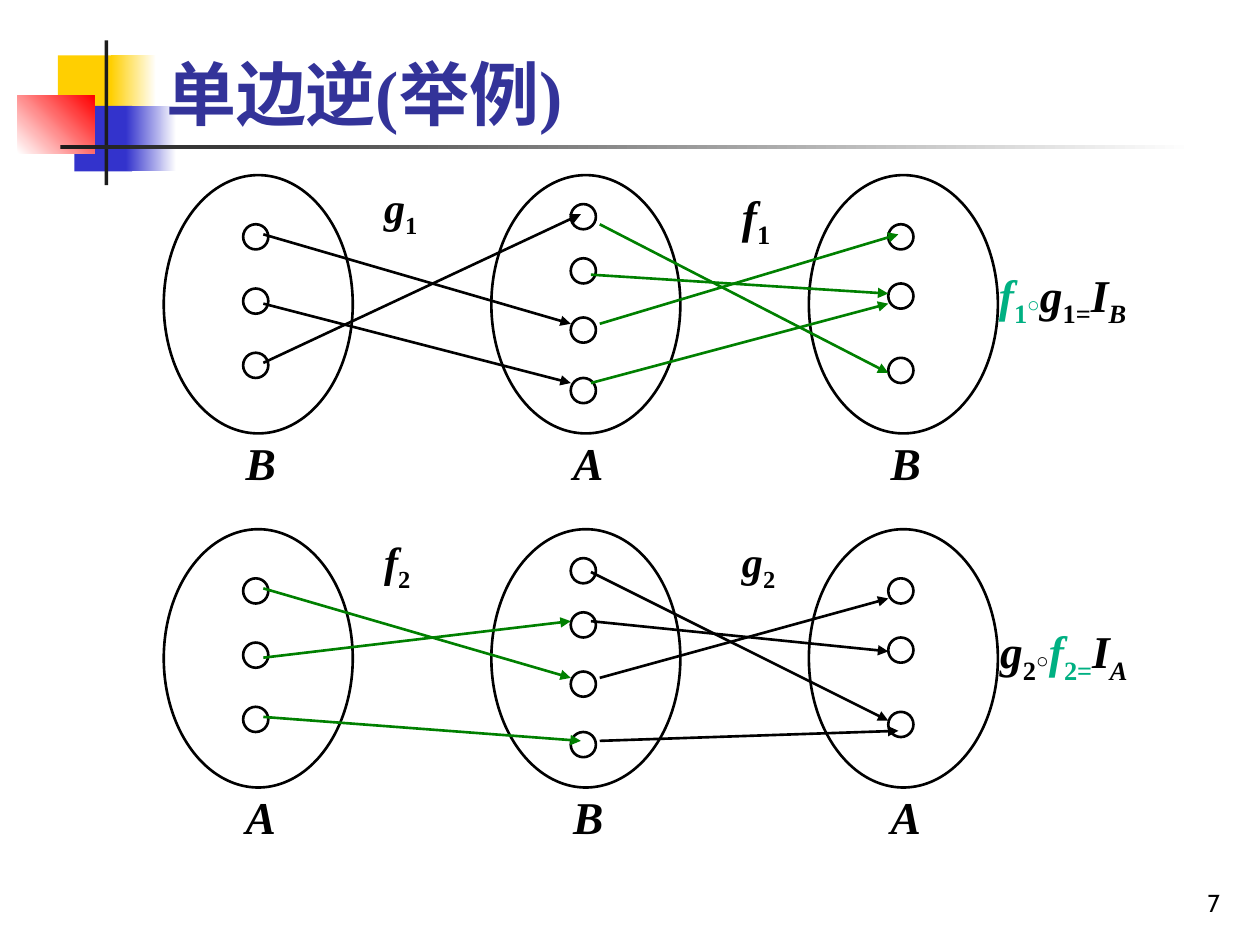
from dataclasses import dataclass

from lxml import etree
from pptx import Presentation
from pptx import util as u
from pptx.dml.color import RGBColor
from pptx.enum import shapes, text
from pptx.oxml.ns import qn

PX = u.Inches(1) // 100  # one px is a hundredth of an inch


@dataclass(frozen=True)
class Theme:
    black: str = "000000"
    white: str = "FFFFFF"
    green: str = "008000"
    teal: str = "00B082"
    title: str = "333399"
    yellow: str = "FFCF01"
    blue: str = "3333CC"
    red: str = "FF0000"
    bar: str = "1C1C1C"
    serif: str = "Times New Roman"
    sans: str = "Cabin"
    title_size: float = 40
    label_size: float = 26
    map_size: float = 24.1
    ring_size: float = 12
    number_size: float = 14
    line_width: float = 1.5


@dataclass(frozen=True)
class Run:
    text: str
    color: str = Theme.black
    italic: bool = False
    subscript: bool = False
    bold: bool = True
    size: float = 0  # 0 takes the size of the text box
    font: str = Theme.serif


class Canvas:
    def __init__(self, slide, theme):
        self.slide = slide
        self.theme = theme

    def shape(self, kind, left, top, width, height):
        shape = self.slide.shapes.add_shape(
            kind, left * PX, top * PX, width * PX, height * PX)
        shape.shadow.inherit = False
        return shape

    def block(self, left, top, width, height, color, end_color=None, angle=0):
        """Borderless rectangle, with a gradient when end_color is given."""
        shape = self.shape(shapes.MSO_SHAPE.RECTANGLE, left, top, width, height)
        shape.line.fill.background()
        if end_color is None:
            shape.fill.solid()
            shape.fill.fore_color.rgb = RGBColor.from_string(color)
            return
        shape.fill.gradient()
        shape.fill.gradient_angle = angle
        for stop, stop_color in zip(shape.fill.gradient_stops, (color, end_color)):
            stop.color.rgb = RGBColor.from_string(stop_color)

    def ellipse(self, left, top, width, height):
        shape = self.shape(shapes.MSO_SHAPE.OVAL, left, top, width, height)
        shape.fill.background()
        shape.line.color.rgb = RGBColor.from_string(self.theme.black)
        shape.line.width = u.Pt(self.theme.line_width)

    def arrow(self, start, end, color):
        connector = self.slide.shapes.add_connector(
            shapes.MSO_CONNECTOR.STRAIGHT, *(value * PX for value in start + end))
        connector.line.color.rgb = RGBColor.from_string(color)
        connector.line.width = u.Pt(self.theme.line_width)
        outline = connector.line._get_or_add_ln()
        etree.SubElement(outline, qn("a:tailEnd"), type="triangle")
        etree.SubElement(connector._element.spPr, qn("a:effectLst"))

    def text(self, left, top, width, height, runs, size, before=0, spacing=1.0,
             align=text.PP_ALIGN.LEFT, anchor=text.MSO_ANCHOR.TOP):
        box = self.slide.shapes.add_textbox(
            left * PX, top * PX, width * PX, height * PX)
        frame = box.text_frame
        frame.word_wrap = True
        frame.vertical_anchor = anchor
        paragraph = frame.paragraphs[0]
        paragraph.alignment = align
        paragraph.space_before = u.Pt(before)
        paragraph.line_spacing = spacing
        for item in runs:
            run = paragraph.add_run()
            run.text = item.text
            font = run.font
            font.name = item.font
            font.size = u.Pt(item.size or size)
            font.bold = item.bold
            font.italic = item.italic
            font.color.rgb = RGBColor.from_string(item.color)
            if item.subscript:
                font._element.set("baseline", "-25000")


SET_LEFTS = (130, 390, 642)
DOT_TOPS = ((178, 229, 280), (162, 205, 252, 300), (178, 225, 284))
ROW_STEP = 281


def letter(name, color=Theme.black):
    return Run(name, color, italic=True)


def indexed(name, index, color=Theme.black):
    return [letter(name, color), Run(index, color, subscript=True)]


def identity(name):
    return [letter("I"), Run(name, italic=True, subscript=True)]


def draw_decoration(canvas, theme):
    canvas.block(46, 44, 48, 52, theme.yellow)
    canvas.block(88, 44, 36, 52, theme.yellow, theme.white)
    canvas.block(59, 84, 46, 52, theme.blue)
    canvas.block(100, 84, 40, 52, theme.blue, theme.white)
    canvas.block(14, 76, 61, 46, theme.white, theme.red, angle=45)
    canvas.block(83, 32, 3, 115, theme.bar)
    canvas.block(48, 115, 900, 3, theme.bar, theme.white)


def draw_mapping(canvas, offset, set_names, arrows):
    """One row of three sets; arrows holds (color, [(start, end), ...]) pairs."""
    for left, dot_tops, name in zip(SET_LEFTS, DOT_TOPS, set_names):
        canvas.ellipse(left, 139 + offset, 150, 205)
        for top in dot_tops:
            canvas.ellipse(left + 63, top + offset, 20, 20)
        canvas.text(left + 55, 336 + offset, 102, 58, [letter(name)],
                    canvas.theme.label_size, before=16.2, spacing=1.1)
    for color, lines in arrows:
        for (x1, y1), (x2, y2) in lines:
            canvas.arrow((x1, y1 + offset), (x2, y2 + offset), color)


def main():
    theme = Theme()
    presentation = Presentation()
    presentation.slide_width = 1000 * PX
    presentation.slide_height = 750 * PX
    slide = presentation.slides.add_slide(presentation.slide_layouts[6])
    canvas = Canvas(slide, theme)

    draw_decoration(canvas, theme)
    canvas.text(122, 28, 852, 84, [Run("单边逆(举例)", theme.title)],
                theme.title_size, anchor=text.MSO_ANCHOR.BOTTOM)

    draw_mapping(canvas, 0, "BAB", [
        (theme.black, [((209, 186), (453, 257)),
                       ((209, 241), (453, 304)),
                       ((209, 288), (461, 170))]),
        (theme.green, [((476, 178), (705, 296)),
                       ((469, 218), (705, 233)),
                       ((476, 257), (713, 186)),
                       ((469, 304), (705, 241))]),
    ])
    draw_mapping(canvas, ROW_STEP, "ABA", [
        (theme.green, [((209, 186), (453, 257)),
                       ((209, 241), (453, 212)),
                       ((209, 288), (461, 307))]),
        (theme.black, [((469, 173), (705, 291)),
                       ((469, 212), (705, 236)),
                       ((476, 257), (705, 194)),
                       ((476, 307), (713, 299))]),
    ])

    for left, top, name, index, size, spacing in (
            (295, 139, "g", "1", theme.map_size, 1.0),
            (579, 139, "f", "1", theme.label_size, 1.1),
            (295, 420, "f", "2", theme.map_size, 1.0),
            (579, 420, "g", "2", theme.map_size, 1.0)):
        canvas.text(left, top, 102, 58, indexed(name, index), size,
                    before=16.2, spacing=spacing)

    first_product = [*indexed("f", "1", theme.teal),
                     Run("○", theme.teal, size=theme.ring_size),
                     *indexed("g", "1="), *identity("B")]
    second_product = [*indexed("g", "2"), Run("○", size=theme.ring_size),
                      *indexed("f", "2=", theme.teal), *identity("A")]
    for left, top, product in ((783, 202, first_product),
                               (784, 485, second_product)):
        canvas.text(left, top, 196, 64, product, theme.label_size,
                    before=6.5, spacing=1.1)

    canvas.text(770, 683, 208, 50, [Run("7", bold=False, font=theme.sans)],
                theme.number_size, align=text.PP_ALIGN.RIGHT,
                anchor=text.MSO_ANCHOR.BOTTOM)
    presentation.save("out.pptx")


if __name__ == "__main__":
    main()
